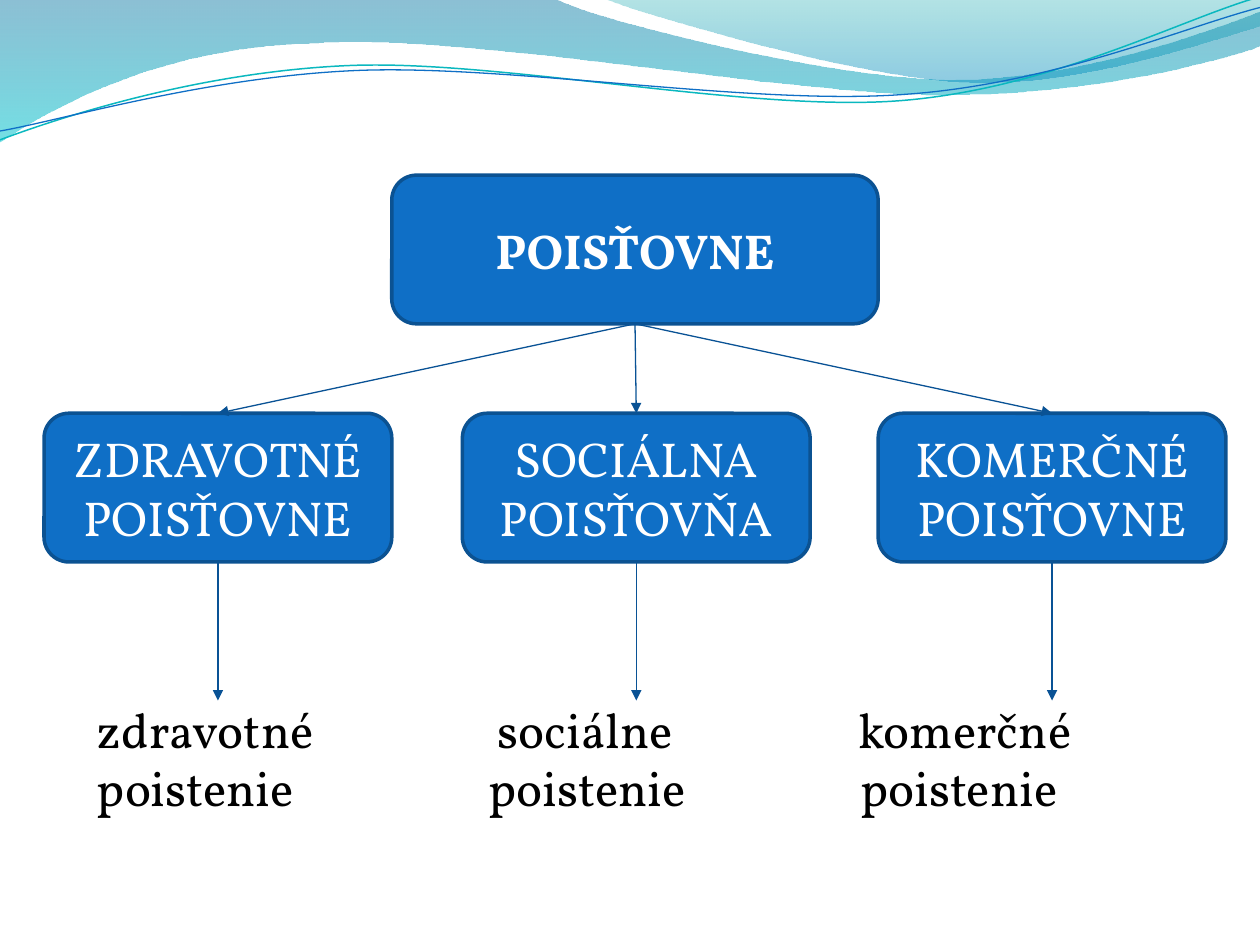
import math

from lxml import etree
from pptx import Presentation
from pptx import util as u
from pptx.dml.color import RGBColor
from pptx.enum import shapes, text
from pptx.oxml.ns import qn

FONT = "Vollkorn"
BLUE = RGBColor(0x0F, 0x6F, 0xC6)
BORDER = RGBColor(0x0B, 0x52, 0x92)
ARROW = RGBColor(0x09, 0x52, 0x95)
TEAL = RGBColor(0x0A, 0xB8, 0xBF)
WHITE = RGBColor(0xFF, 0xFF, 0xFF)
BLACK = RGBColor(0, 0, 0)
CURVE_ROTATION = 357.3

# Gradient stops: colour and opacity in percent
LARGE_WAVE_STOPS = [(RGBColor(0x00, 0x74, 0xA1), 45), (RGBColor(0x00, 0xC6, 0xCF), 55)]
SMALL_WAVE_STOPS = [(RGBColor(0x00, 0xA1, 0xA9), 30), (RGBColor(0x00, 0x8B, 0xBF), 45)]

# Outlines: a pair is a straight step, six numbers are a Bézier curve
LARGE_WAVE = [
    (0, 0), (4.4, -0.01),
    (4.76, 0.17, 6.64, 0.63, 7.58, 0.63), (8.53, 0.63, 9.58, 0.26, 10, 0.09),
    (10.01, 0.36),
    (9.83, 0.44, 8.7, 0.76, 7.46, 0.75), (6.22, 0.75, 3.82, 0.28, 2.57, 0.34),
    (1.29, 0.36, 0.46, 0.83, -0.01, 1.13), (0, 0),
]
SMALL_WAVE = [
    (4.79, -0.01),
    (5.09, 0.11, 6.82, 0.62, 7.69, 0.65), (8.56, 0.69, 9.61, 0.32, 10, 0.21),
    (10, 0), (4.79, -0.01),
]
TEAL_CURVE = [
    (0, 1.11), (0.48, 0.93, 1.58, 0.57, 2.77, 0.52),
    (3.95, 0.47, 5.93, 0.89, 7.13, 0.8), (8.33, 0.71, 9.38, 0.15, 9.98, -0.02),
]
BLUE_CURVE = [
    (0, 1.04), (0.47, 0.96, 1.64, 0.61, 2.83, 0.56),
    (4.03, 0.51, 5.97, 0.84, 7.17, 0.75), (8.36, 0.67, 9.41, 0.21, 10, 0.06),
]

BRANCHES = [
    (6.97, "KOMERČNÉ POISŤOVNE"),
    (3.67, "SOCIÁLNA POISŤOVŇA"),
    (0.35, "ZDRAVOTNÉ POISŤOVNE"),
]
# Each line of the caption with its tab stops
CAPTION_LINES = [
    ("zdravotné\tsociálne\tkomerčné", (3.18, 6.04)),
    ("poistenie\tpoistenie\tpoistenie", (3.11, 6.06)),
]


def turn(outline, center, degrees):
    """Rotate all points of an outline clockwise about a center."""
    sine, cosine = math.sin(math.radians(degrees)), math.cos(math.radians(degrees))
    turned = []
    for part in outline:
        step = []
        for x, y in zip(part[::2], part[1::2]):
            dx, dy = x - center[0], y - center[1]
            step += [center[0] + dx * cosine - dy * sine,
                     center[1] + dx * sine + dy * cosine]
        turned.append(tuple(step))
    return turned


def add_outline(page, outline, close):
    points = [(u.Inches(x), u.Inches(y))
              for part in outline for x, y in zip(part[::2], part[1::2])]
    builder = page.shapes.build_freeform(*points[0])
    builder.add_line_segments(points[1:], close=close)
    shape = builder.convert_to_shape()
    shape.shadow.inherit = False
    # Gather each three steps of a curve into one Bézier segment
    steps = iter(list(shape._element.spPr.iter(qn("a:lnTo"))))
    for part in outline[1:]:
        first = next(steps)
        if len(part) == 6:
            first.tag = qn("a:cubicBezTo")
            for extra in (next(steps), next(steps)):
                first.append(extra[0])
                extra.getparent().remove(extra)
    return shape


def add_wave(page, outline, stops):
    wave = add_outline(page, outline, close=True)
    wave.line.fill.background()
    wave.fill.gradient()
    wave.fill.gradient_angle = 270
    for stop, (color, opacity) in zip(wave.fill.gradient_stops, stops):
        stop.color.rgb = color
    colors = wave._element.spPr.iter(qn("a:srgbClr"))
    for element, (color, opacity) in zip(colors, stops):
        etree.SubElement(element, qn("a:alpha")).set("val", str(opacity * 1000))


def add_curve(page, outline, center, color, width):
    level = turn(outline, center, 360 - CURVE_ROTATION)
    curve = add_outline(page, level, close=False)
    curve.rotation = CURVE_ROTATION
    curve.fill.background()
    curve.line.color.rgb = color
    curve.line.width = u.Pt(width)


def format_font(font, color, bold=False):
    font.name = FONT
    font.size = u.Pt(28)
    font.bold = bold
    font.color.rgb = color


def add_box(page, left, top, width, label, bold=False):
    box = page.shapes.add_shape(
        shapes.MSO_SHAPE.ROUNDED_RECTANGLE,
        u.Inches(left), u.Inches(top), u.Inches(width), u.Inches(1.18))
    box.shadow.inherit = False
    box.fill.solid()
    box.fill.fore_color.rgb = BLUE
    box.line.color.rgb = BORDER
    box.line.width = u.Pt(2)
    frame = box.text_frame
    frame.word_wrap = True
    frame.vertical_anchor = text.MSO_ANCHOR.MIDDLE
    frame.text = label
    para = frame.paragraphs[0]
    para.alignment = text.PP_ALIGN.CENTER
    format_font(para.runs[0].font, WHITE, bold)
    return box


def add_arrow(page, source, target=None, length=1.1):
    """Join two boxes, or drop an arrow straight down from one box."""
    x, y = source.left + source.width // 2, source.top + source.height
    arrow = page.shapes.add_connector(
        shapes.MSO_CONNECTOR.STRAIGHT, x, y, x, y + u.Inches(length))
    arrow.begin_connect(source, 2)
    if target is not None:
        arrow.end_connect(target, 0)
    arrow.line.color.rgb = ARROW
    arrow.line.width = u.Pt(0.75)
    etree.SubElement(arrow.line._get_or_add_ln(), qn("a:tailEnd")).set("type", "triangle")
    etree.SubElement(arrow._element.spPr, qn("a:effectLst"))


def add_caption(page):
    box = page.shapes.add_textbox(
        u.Inches(0.36), u.Inches(5.5), u.Inches(9.38), u.Inches(1.04))
    frame = box.text_frame
    frame.word_wrap = True
    frame.auto_size = text.MSO_AUTO_SIZE.SHAPE_TO_FIT_TEXT
    frame.margin_left = u.Inches(0.41)
    for index, (line, stops) in enumerate(CAPTION_LINES):
        para = frame.paragraphs[0] if index == 0 else frame.add_paragraph()
        para.text = line
        tabs = etree.SubElement(para._p.get_or_add_pPr(), qn("a:tabLst"))
        for stop in stops:
            tab = etree.SubElement(tabs, qn("a:tab"))
            tab.set("pos", str(u.Inches(stop)))
            tab.set("algn", "l")
        for span in para.runs:
            format_font(span.font, BLACK)


def main():
    deck = Presentation()
    deck.slide_width, deck.slide_height = u.Inches(10), u.Inches(7.5)
    page = deck.slides.add_slide(deck.slide_layouts[6])

    # Wave decoration
    add_wave(page, LARGE_WAVE, LARGE_WAVE_STOPS)
    add_wave(page, SMALL_WAVE, SMALL_WAVE_STOPS)
    add_curve(page, TEAL_CURVE, (4.99, 0.58), TEAL, 0.85)
    add_curve(page, BLUE_CURVE, (5, 0.59), BLUE, 0.75)

    # Hierarchy of insurers
    root = add_box(page, 3.11, 1.39, 3.86, "POISŤOVNE", bold=True)
    branches = [add_box(page, left, 3.28, 2.76, label) for left, label in BRANCHES]
    for branch in branches:
        add_arrow(page, root, branch)
    for branch in branches:
        add_arrow(page, branch)

    # Kinds of insurance
    add_caption(page)
    deck.save("out.pptx")


if __name__ == "__main__":
    main()
